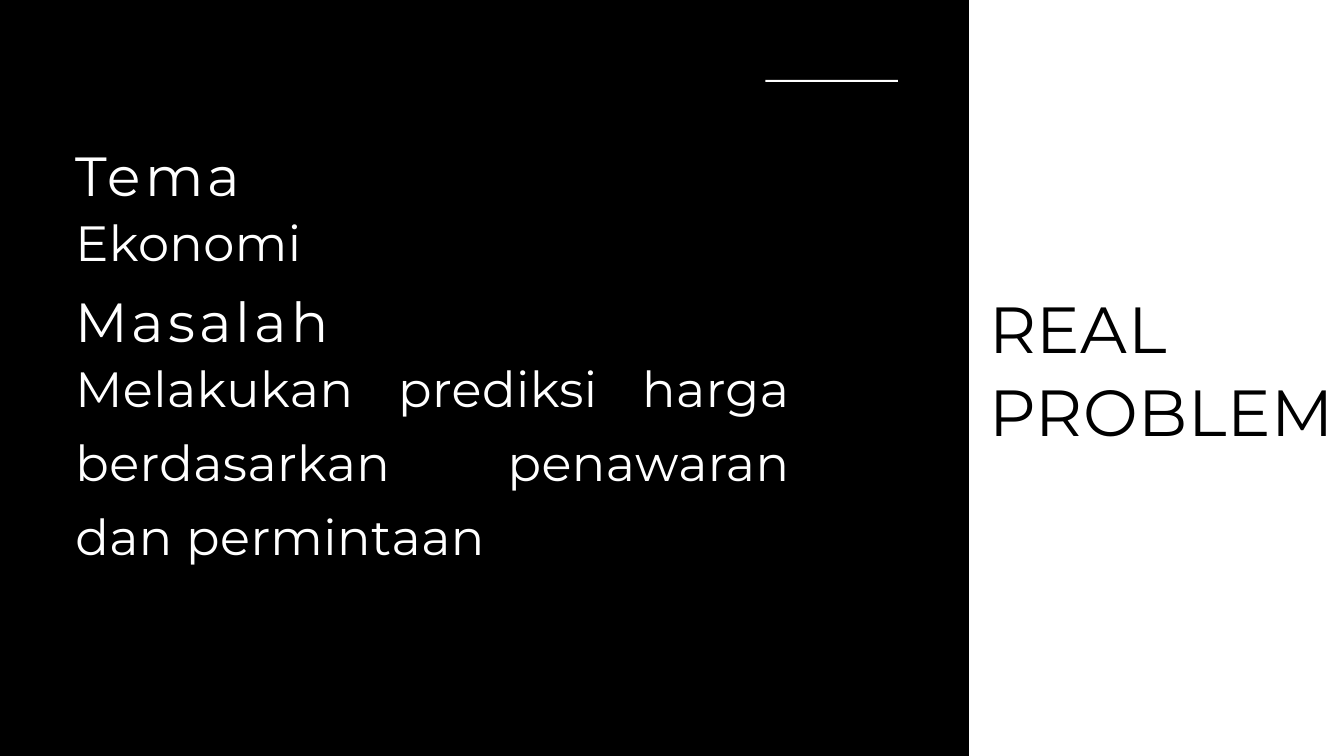
from lxml.etree import SubElement
from pptx import Presentation
from pptx.dml.color import RGBColor
from pptx.enum.shapes import MSO_SHAPE
from pptx.enum.text import MSO_ANCHOR, MSO_AUTO_SIZE, PP_ALIGN
from pptx.oxml.ns import qn
from pptx.util import Inches, Pt

BLACK = RGBColor(0x00, 0x00, 0x00)
WHITE = RGBColor(0xFF, 0xFF, 0xFF)
FONT = "Montserrat"

TITLE = "REAL PROBLEM"
# heading, body, body height
SECTIONS = [
    ("Tema", "Ekonomi", 1.05),
    ("Masalah", "Melakukan prediksi harga berdasarkan penawaran dan permintaan", 5.46),
]

WIDTH, HEIGHT = 20, 11.25
PANEL_LEFT = 14.42
MARGIN = 1.12
SECTION_TOP, SECTION_STEP = 2.11, 2.17
BODY_OFFSET = 0.82
COMPARISON_LAYOUT = 4

HEADING_STYLE = dict(size=59, leading=70.8, tracking=4.4, color=WHITE)
BODY_STYLE = dict(size=53, leading=79.5, tracking=0.5, color=WHITE,
                  align=PP_ALIGN.JUSTIFY)
TITLE_STYLE = dict(size=69.8, leading=87.9, tracking=0.6, color=BLACK)


def write(holder, text, box, *, size, leading, tracking, color,
          align=PP_ALIGN.LEFT):
    """Place a placeholder at box (inches) and fill it with one plain paragraph."""
    holder.left, holder.top, holder.width, holder.height = map(Inches, box)
    frame = holder.text_frame
    frame.text = text
    frame.word_wrap = True
    frame.auto_size = MSO_AUTO_SIZE.NONE
    frame.vertical_anchor = MSO_ANCHOR.TOP
    frame.margin_left = frame.margin_top = 0
    frame.margin_right = frame.margin_bottom = 0

    paragraph = frame.paragraphs[0]
    paragraph.alignment = align
    paragraph.line_spacing = Pt(leading)
    paragraph.space_before = paragraph.space_after = Pt(0)
    properties = paragraph._p.get_or_add_pPr()
    properties.set("marL", "0")
    properties.set("indent", "0")
    SubElement(properties, qn("a:buNone"))

    run = paragraph.runs[0]
    run.font.name = FONT
    run.font.size = Pt(size)
    run.font.bold = False
    run.font.color.rgb = color
    run._r.get_or_add_rPr().set("spc", str(round(tracking * 100)))


def add_white_bar(slide, *box):
    bar = slide.shapes.add_shape(MSO_SHAPE.RECTANGLE, *map(Inches, box))
    bar.shadow.inherit = False
    bar.fill.solid()
    bar.fill.fore_color.rgb = WHITE
    bar.line.fill.background()
    return bar


def main():
    deck = Presentation()
    deck.slide_width, deck.slide_height = Inches(WIDTH), Inches(HEIGHT)
    slide = deck.slides.add_slide(deck.slide_layouts[COMPARISON_LAYOUT])
    slide.background.fill.solid()
    slide.background.fill.fore_color.rgb = BLACK

    panel = add_white_bar(slide, PANEL_LEFT, 0, WIDTH - PANEL_LEFT, HEIGHT)
    slide.shapes._spTree.insert(2, panel._element)  # behind the title
    add_white_bar(slide, 11.39, 1.19, 1.97, 0.03)

    title, *holders = slide.placeholders
    write(title, TITLE, (14.72, 4.24, 5.28, 2.42), **TITLE_STYLE)

    pairs = zip(holders[::2], holders[1::2])
    for row, ((heading, body, body_height), (heading_holder, body_holder)) in enumerate(
            zip(SECTIONS, pairs)):
        top = SECTION_TOP + row * SECTION_STEP
        write(heading_holder, heading, (MARGIN, top, 9.07, 0.98), **HEADING_STYLE)
        write(body_holder, body, (MARGIN, top + BODY_OFFSET, 10.64, body_height),
              **BODY_STYLE)

    deck.save("out.pptx")


if __name__ == "__main__":
    main()
